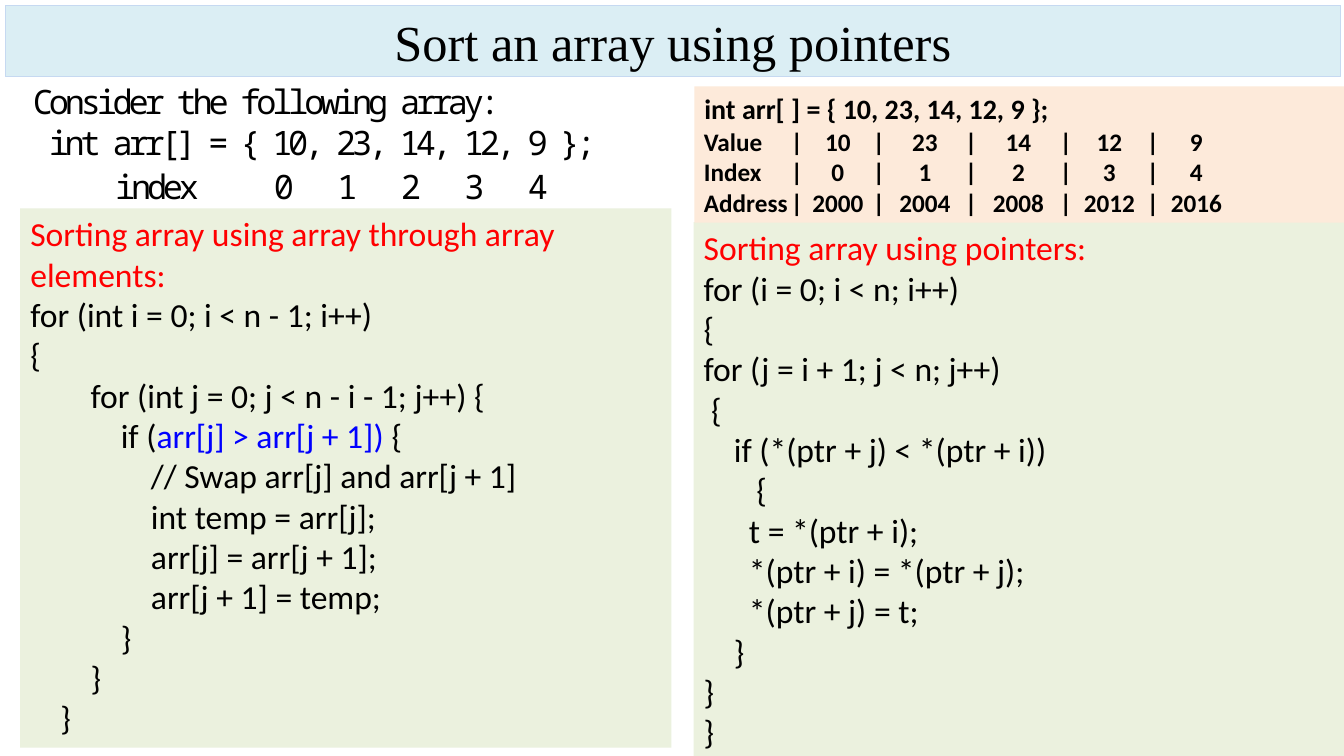
from dataclasses import dataclass

from lxml.etree import SubElement
from pptx import Presentation
from pptx.dml.color import RGBColor
from pptx.enum.shapes import MSO_SHAPE
from pptx.enum.text import MSO_ANCHOR, MSO_AUTO_SIZE as AutoSize, PP_ALIGN
from pptx.oxml.ns import qn
from pptx.util import Cm, Pt

BLACK, RED, BLUE, GREEN = "000000", "FF0000", "0000FF", "EBF1DE"
SPACE = 0.19  # width of one code space, cm
MONO = 0.4    # width of one monospaced character, cm
NO_GRID = "{2D5ABB26-0587-4C30-8999-92F81FD0307C}"  # plain table style


@dataclass
class Box:
    left: float
    top: float
    width: float
    height: float


@dataclass
class CodePanel:
    box: Box
    heading: str
    code: str
    highlight: str = ""


@dataclass
class Grid:
    left: float
    top: float
    row_height: float
    widths: list[float]
    rows: list[list[str]]
    size: float
    font: str = "Calibri"
    bold: bool = False
    spacing: int = 0
    align: PP_ALIGN = PP_ALIGN.LEFT


PANELS = [
    CodePanel(Box(0.51, 5.25, 16.41, 13.59),
              "Sorting array using array through array elements:", """\
for (int i = 0; i < n - 1; i++)
{
        for (int j = 0; j < n - i - 1; j++) {
            if (arr[j] > arr[j + 1]) {
                // Swap arr[j] and arr[j + 1]
                int temp = arr[j];
                arr[j] = arr[j + 1];
                arr[j + 1] = temp;
            }
        }
    }""", "arr[j] > arr[j + 1]) "),
    CodePanel(Box(17.48, 5.6, 16.41, 13.59), "Sorting array using pointers:", """\
for (i = 0; i < n; i++)
{
for (j = i + 1; j < n; j++)
 {
    if (*(ptr + j) < *(ptr + i))
       {
      t = *(ptr + i);
      *(ptr + i) = *(ptr + j);
      *(ptr + j) = t;
    }
}
}"""),
]

MEMORY = [
    ("Value", 10, 23, 14, 12, 9),
    ("Index", 0, 1, 2, 3, 4),
    ("Address", 2000, 2004, 2008, 2012, 2016),
]
BAR = 0.3  # width of a bar column, cm
VALUE_WIDTHS = [1.77, 2.02, 2.09, 1.89, 1.9]

GRIDS = [
    # Values, indexes and addresses, with a bar before each
    Grid(17.74, 3.2, 0.76,
         [2.19] + [w for width in VALUE_WIDTHS for w in (BAR, width)],
         [[name] + [t for v in values for t in ("|", str(v))]
          for name, *values in MEMORY],
         18, bold=True, align=PP_ALIGN.CENTER),
    # Each index under its value
    Grid(2.9, 4.13, 1.02, [10 * MONO] + [4 * MONO] * 5,
         [["index", *map(str, range(5))]],
         24, "Noto Sans Mono", spacing=-300),
]


def rgb(color: str) -> RGBColor:
    return RGBColor.from_string(color)


def place(sp, box: Box, fill: str = "") -> None:
    sp.left, sp.top = Cm(box.left), Cm(box.top)
    sp.width, sp.height = Cm(box.width), Cm(box.height)
    if fill:
        sp.fill.solid()
        sp.fill.fore_color.rgb = rgb(fill)
    tf = sp.text_frame
    tf.word_wrap = True
    tf.auto_size = AutoSize.NONE
    tf.vertical_anchor = MSO_ANCHOR.TOP


def style(p, size: float, color: str = BLACK, font: str = "Calibri",
          bold: bool = False, spacing: int = 0) -> None:
    for r in p.runs:
        r.font.size, r.font.name, r.font.bold = Pt(size), font, bold
        r.font.color.rgb = rgb(color)
        if spacing:
            r.font._element.set("spc", str(spacing))


def layout(p, indent: float = 0) -> None:
    p.alignment = PP_ALIGN.LEFT
    p.space_before = Pt(0)
    pPr = p._p.get_or_add_pPr()
    pPr.set("marL", str(Cm(indent)))
    pPr.set("indent", "0")
    SubElement(pPr, qn("a:buNone"))


def add_code(sp, panel: CodePanel) -> None:
    place(sp, panel.box, GREEN)
    tf = sp.text_frame
    tf.text = panel.heading
    layout(tf.paragraphs[0])
    style(tf.paragraphs[0], 24, RED)
    for line in panel.code.splitlines():
        text = line.lstrip()
        p = tf.add_paragraph()
        if panel.highlight and panel.highlight in text:
            before, after = text.split(panel.highlight)
            for part in (before, panel.highlight, after):
                p.add_run().text = part
        else:
            p.text = text
        layout(p, SPACE * (len(line) - len(text)))
        style(p, 24)
        for r in p.runs:
            if r.text == panel.highlight:
                r.font.color.rgb = rgb(BLUE)


def add_grid(s, g: Grid) -> None:
    frame = s.shapes.add_table(len(g.rows), len(g.widths), Cm(g.left), Cm(g.top),
                               Cm(sum(g.widths)), Cm(g.row_height * len(g.rows)))
    table = frame.table
    table.first_row = table.horz_banding = False
    table._tbl.tblPr.find(qn("a:tableStyleId")).text = NO_GRID
    for column, width in zip(table.columns, g.widths):
        column.width = Cm(width)
    for row, texts in zip(table.rows, g.rows):
        row.height = Cm(g.row_height)
        for i, (cell, text) in enumerate(zip(row.cells, texts)):
            cell.fill.background()
            cell.margin_left = cell.margin_right = 0
            cell.margin_top = cell.margin_bottom = 0
            cell.text_frame.word_wrap = False
            p = cell.text_frame.paragraphs[0]
            p.text = text
            p.alignment = g.align if i else PP_ALIGN.LEFT
            style(p, g.size, font=g.font, bold=g.bold, spacing=g.spacing)


def main() -> None:
    prs = Presentation()
    prs.slide_width, prs.slide_height = Cm(33.87), Cm(19.05)
    s = prs.slides.add_slide(prs.slide_layouts[3])
    title, *bodies = s.placeholders

    # Title bar
    place(title, Box(0.13, 0.13, 33.66, 1.8), "DBEEF4")
    title.line.color.rgb = rgb("C6D9F1")
    title.line.width = Pt(0.75)
    tf = title.text_frame
    tf.text = "Sort an array using pointers"
    tf.vertical_anchor = MSO_ANCHOR.MIDDLE
    tf.paragraphs[0].alignment = PP_ALIGN.CENTER
    style(tf.paragraphs[0], 36, font="Times New Roman")

    # Code panels
    for sp, panel in zip(bodies, PANELS):
        add_code(sp, panel)

    # Memory panel
    sp = s.shapes.add_shape(MSO_SHAPE.RECTANGLE, 0, 0, 0, 0)
    sp.shadow.inherit = False
    sp.line.fill.background()
    place(sp, Box(17.5, 2.18, 16.41, 3.43), "FDEADA")
    p = sp.text_frame.paragraphs[0]
    p.text = "int arr[ ] = { 10, 23, 14, 12, 9 };"
    layout(p)
    style(p, 20, bold=True)

    # Example array
    sp = s.shapes.add_textbox(0, 0, 0, 0)
    place(sp, Box(0.18, 1.92, 17.07, 3.33))
    tf = sp.text_frame
    tf.text = "Consider the following array:\nint arr[] = { 10, 23, 14, 12, 9 };"
    for n, p in enumerate(tf.paragraphs, 1):
        layout(p, MONO * n)
        style(p, 24, font="Noto Sans Mono", spacing=-300)

    # Aligned rows of both arrays
    for grid in GRIDS:
        add_grid(s, grid)

    prs.save("out.pptx")


if __name__ == "__main__":
    main()
